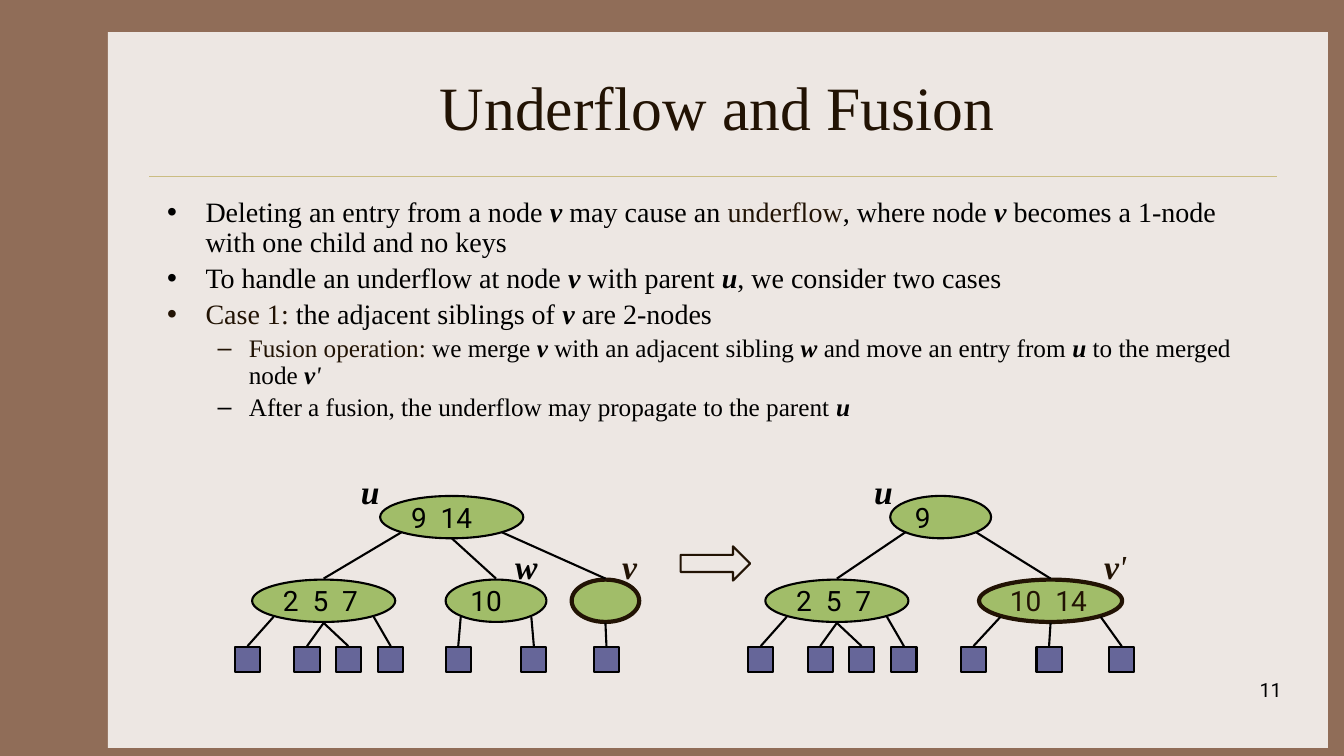
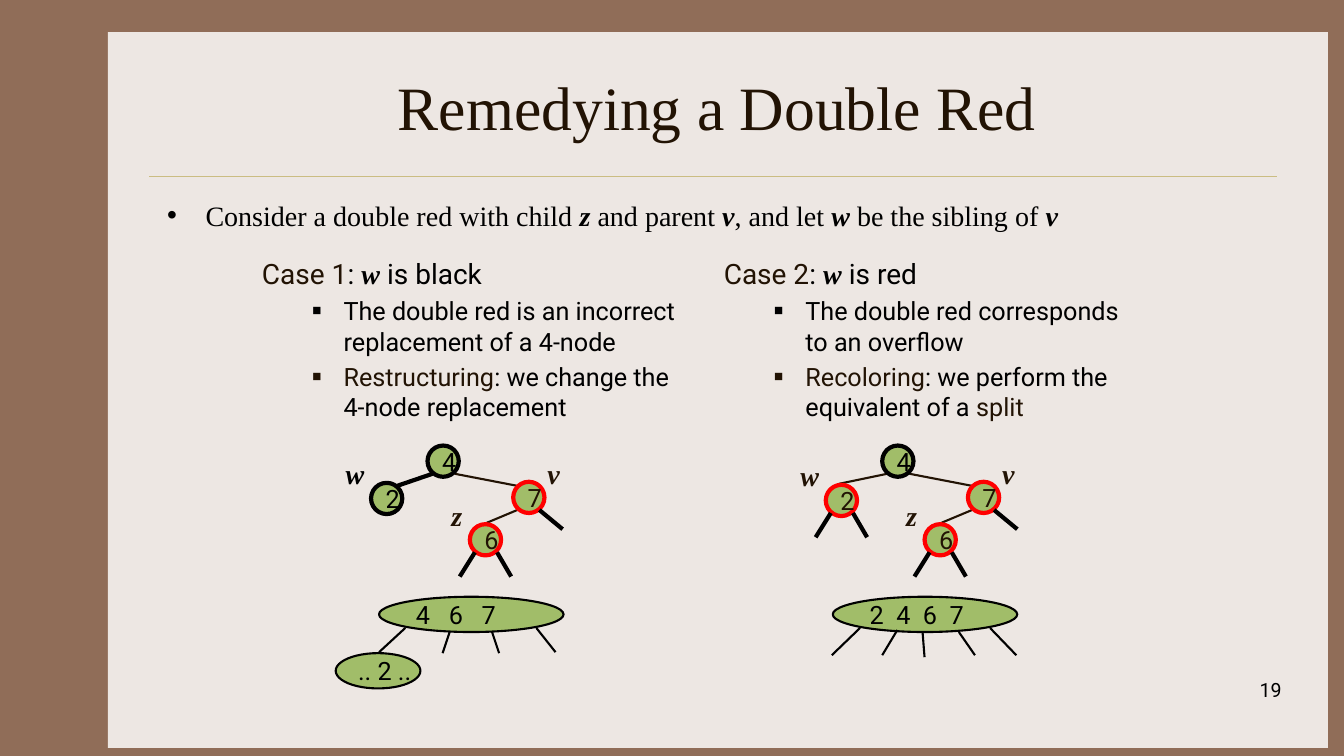
from lxml.etree import SubElement
from pptx import Presentation
from pptx.dml.color import RGBColor
from pptx.enum.shapes import MSO_CONNECTOR, MSO_SHAPE
from pptx.enum.text import MSO_ANCHOR, MSO_AUTO_SIZE, PP_ALIGN
from pptx.oxml.ns import qn
from pptx.util import Pt

SCALE = 9144
SERIF, SANS = "Times New Roman", "Roboto"
BLACK, ACCENT, RED = "000000", "221304", "FF0000"
FRAME, PAPER, RULE = "906D58", "EDE7E3", "CBBD83"
GREEN, LEAF = "A1BD69", "666699"
LEAF_SIZE, CIRCLE_SIZE = 25, 31
NODE_HEIGHT, WIDE_HEIGHT = 42, 35
LEFT, MIDDLE, RIGHT = 0.15, 0.5, 0.85


def px(*lengths):
    """Turn px lengths into EMU."""
    return [round(length * SCALE) for length in lengths]


def color(code):
    """Turn a hex string into a colour."""
    return RGBColor.from_string(code)


def var(text, code=BLACK):
    """Describe a run that shows a variable."""
    return text, {"bold": True, "italic": True, "font": SERIF, "code": code}


def key(text):
    """Describe a run in the accent colour."""
    return text, {"code": ACCENT}


def prime(code=BLACK):
    """Describe the prime mark after a variable."""
    return "'", {"italic": True, "font": SERIF, "code": code}


def add_runs(para, runs, size, font, code=BLACK):
    """Add styled runs to a paragraph; plain strings take the base style."""
    for entry in runs:
        text, style = (entry, {}) if isinstance(entry, str) else entry
        span = para.add_run()
        span.text = text
        span.font.size = Pt(size)
        span.font.name = style.get("font", font)
        span.font.bold = style.get("bold", False)
        span.font.italic = style.get("italic", False)
        span.font.color.rgb = color(style.get("code", code))


def add_box(page, area):
    """Add an empty wrapping text box."""
    box = page.shapes.add_textbox(*px(*area))
    box.text_frame.word_wrap = True
    return box.text_frame


def set_indent(para, margin, hanging, bullet=None, percent=100):
    """Give a paragraph a hanging indent and an optional bullet."""
    props = para._p.get_or_add_pPr()
    props.set("marL", str(px(margin)[0]))
    props.set("indent", str(px(-hanging)[0]))
    if bullet:
        SubElement(props, qn("a:buSzPct")).set("val", str(percent * 1000))
        SubElement(props, qn("a:buFont")).set("typeface", "Arial")
        SubElement(props, qn("a:buChar")).set("char", bullet)
    else:
        SubElement(props, qn("a:buNone"))


def add_outline(page, area, items, font, bullets, percent=100, spacing=None):
    """Write a two-level list from (level, runs) items."""
    frame = add_box(page, area)
    for index, (level, runs) in enumerate(items):
        para = frame.add_paragraph() if index else frame.paragraphs[0]
        size = (20, 18)[level]
        margin, hanging = ((38, 38), (81, 31))[level]
        set_indent(para, margin, hanging, bullets[level], percent)
        if spacing:
            para.line_spacing = spacing
        if index:
            para.space_before = Pt(size * 0.2)
        add_runs(para, runs, size, font)


def add_figure(page, kind, area, fill, line=None, weight=1.5):
    """Add a preset shape with a plain fill and outline."""
    shape = page.shapes.add_shape(kind, *px(*area))
    shape.shadow.inherit = False
    if fill:
        shape.fill.solid()
        shape.fill.fore_color.rgb = color(fill)
    else:
        shape.fill.background()
    if line:
        shape.line.color.rgb = color(line)
        shape.line.width = Pt(weight)
    else:
        shape.line.fill.background()
    return shape


def add_node(page, area, text, size, line=BLACK, weight=1.5, code=BLACK):
    """Add a green ellipse holding keys."""
    node = add_figure(page, MSO_SHAPE.OVAL, area, GREEN, line, weight)
    if text:
        frame = node.text_frame
        frame.word_wrap = False
        frame.vertical_anchor = MSO_ANCHOR.MIDDLE
        frame.paragraphs[0].alignment = PP_ALIGN.LEFT
        add_runs(frame.paragraphs[0], [text], size, SANS, code)


def add_edge(page, start, end, code=BLACK, weight=1.5):
    """Draw a straight line between two points."""
    edge = page.shapes.add_connector(MSO_CONNECTOR.STRAIGHT, *px(*start, *end))
    edge.line.color.rgb = color(code)
    edge.line.width = Pt(weight)
    SubElement(edge._element.spPr, qn("a:effectLst"))


def add_stubs(page, left, top, stubs, weight=1.5):
    """Draw short edges given relative to a node's corner."""
    for x1, y1, x2, y2 in stubs:
        add_edge(page, (left + x1, top + y1), (left + x2, top + y2), BLACK, weight)


def add_tag(page, left, top, width, runs):
    """Put a large variable name beside a node."""
    frame = add_box(page, (left, top, width, 40))
    frame.margin_left = frame.margin_top = frame.margin_right = frame.margin_bottom = 0
    frame.word_wrap = False
    frame.auto_size = MSO_AUTO_SIZE.SHAPE_TO_FIT_TEXT
    add_runs(frame.paragraphs[0], runs, 24, SERIF)


def node_anchor(left, top, width, side):
    """Find the point on a node's lower edge where a child hangs."""
    return left + width * side, top + (NODE_HEIGHT if side == MIDDLE else 36)


def add_subtree(page, left, top, width, text, leaves, strong=False):
    """Draw a node with its square leaves, given as (offset, side)."""
    line, weight = (ACCENT, 3) if strong else (BLACK, 1.5)
    add_node(page, (left, top, width, NODE_HEIGHT), text, 20, line, weight, line)
    for offset, side in leaves:
        x, y = left + offset, top + 67
        add_figure(page, MSO_SHAPE.RECTANGLE, (x, y, LEAF_SIZE, LEAF_SIZE), LEAF, BLACK)
        hook_x, hook_y = node_anchor(left, top, width, side)
        add_edge(page, (x + LEAF_SIZE / 2, y - 1), (hook_x, hook_y + 1))


def add_multiway_tree(page, left, top, root, children):
    """Draw a root u with its subtrees, placed from the tree's corner."""
    offset, width, text = root
    root_left, child_top = left + offset, top + 83
    add_node(page, (root_left, top, width, NODE_HEIGHT), text, 20)
    add_tag(page, left + 125, top - 25, 19, [var("u")])
    for side, child_offset, child_width, keys, leaves, strong, tag in children:
        child_left = left + child_offset
        add_subtree(page, child_left, child_top, child_width, keys, leaves, strong)
        add_edge(page, (child_left + child_width / 2, child_top - 1),
                 node_anchor(root_left, top, width, side))
        if tag:
            tag_offset, tag_width, runs = tag
            add_tag(page, child_left + tag_offset, child_top - 33, tag_width, runs)


def add_red_black_tree(page, left, top, sibling_red):
    """Draw the double red at z and v, with sibling w black or red."""
    fork = [(27, 28, 41, 52), (5, 28, -10, 52)]
    sibling_shift = 2 if sibling_red else 0
    nodes = [("4", 91, 0, False, []), ("6", 133, 78, True, fork),
             ("7", 176, 36, True, [(26, 28, 49, 47)]),
             ("2", 35, 37 + sibling_shift, sibling_red, fork if sibling_red else [])]
    sibling_edge = (96, 28, 48, 38, ACCENT, 1.5) if sibling_red else (96, 28, 61, 40, BLACK, 3)
    edges = [(118, 28, 180, 40, ACCENT, 1.5), (180, 64, 149, 77, ACCENT, 1.5), sibling_edge]
    for x1, y1, x2, y2, code, weight in edges:
        add_edge(page, (left + x1, top + y1), (left + x2, top + y2), code, weight)
    for text, x, y, red, stubs in nodes:
        area = (left + x, top + y, CIRCLE_SIZE, CIRCLE_SIZE)
        line, code = (RED, ACCENT) if red else (BLACK, BLACK)
        add_node(page, area, text, 18, line, 3, code)
        add_stubs(page, left + x, top + y, stubs, 3)
    sibling_code = ACCENT if sibling_red else BLACK
    names = [("z", 105, 48, 37, ACCENT), ("v", 200, 6, 34, ACCENT),
             ("w", 0, 6 + sibling_shift, 42, sibling_code)]
    for name, x, y, width, code in names:
        frame = add_box(page, (left + x, top + y, width, 43))
        frame.auto_size = MSO_AUTO_SIZE.SHAPE_TO_FIT_TEXT
        add_runs(frame.paragraphs[0], [var(name, code)], 20, SERIF)


def add_wide_node(page, left, top, text, stubs):
    """Draw a wide node with loose child edges."""
    add_node(page, (left, top, 183, WIDE_HEIGHT), text, 18)
    add_stubs(page, left, top, stubs)


def add_page(deck, title, number):
    """Add a page with the shared frame, title, rule and number."""
    page = deck.slides.add_slide(deck.slide_layouts[6])
    page.background.fill.solid()
    page.background.fill.fore_color.rgb = color(FRAME)
    add_figure(page, MSO_SHAPE.RECTANGLE, (107, 32, 1210, 710), PAPER)
    add_edge(page, (148, 175), (1267, 175), RULE, 0.25)
    heading = add_box(page, (156, 42, 1111, 125))
    heading.vertical_anchor = MSO_ANCHOR.MIDDLE
    heading.paragraphs[0].alignment = PP_ALIGN.CENTER
    add_runs(heading.paragraphs[0], [title], 44, SERIF, ACCENT)
    footer = add_box(page, (1003, 668, 278, 50))
    footer.paragraphs[0].alignment = PP_ALIGN.RIGHT
    add_runs(footer.paragraphs[0], [number], 14, SANS)
    return page


def build_fusion(deck):
    """Build the page on underflow and fusion."""
    page = add_page(deck, "Underflow and Fusion", "11")
    add_outline(page, (156, 192, 1111, 450), [
        (0, ["Deleting an entry from a node ", var("v"), " may cause an ", key("underflow"),
             ", where node ", var("v"), " becomes a 1-node with one child and no keys"]),
        (0, ["To handle an underflow at node ", var("v "), "with parent ", var("u"),
             ", we consider two cases"]),
        (0, [key("Case 1:"), " the adjacent siblings of ", var("v"), " are 2-nodes"]),
        (1, [key("Fusion operation:"), " we merge ", var("v"), " with an adjacent sibling ",
             var("w"), " and move an entry from ", var("u"), " to the merged node ",
             var("v"), prime()]),
        (1, ["After a fusion, the underflow may propagate to the parent ", var("u")]),
    ], SERIF, ("•", "–"), spacing=0.9)
    full_leaves = [(-17, LEFT), (42, MIDDLE), (83, MIDDLE), (125, RIGHT)]
    full = (LEFT, 17, 142, "2  5  7", full_leaves, False, None)
    sibling = (MIDDLE, 209, 100, "10", [(0, LEFT), (75, RIGHT)], False, (69, 22, [var("w")]))
    empty = (RIGHT, 334, 67, "", [(22, MIDDLE)], True, (50, 15, [var("v", ACCENT)]))
    merged = (RIGHT, 229, 142, "10  14", [(-18, LEFT), (57, MIDDLE), (129, RIGHT)], True,
              (124, 22, [var("v", ACCENT), prime(ACCENT)]))
    add_multiway_tree(page, 233, 492, (144, 142, "9  14"), [full, sibling, empty])
    add_multiway_tree(page, 742, 492, (141, 100, "9"), [full, merged])
    add_figure(page, MSO_SHAPE.RIGHT_ARROW, (675, 542, 69, 34), None, ACCENT)


def build_double_red(deck):
    """Build the page on remedying a double red."""
    page = add_page(deck, "Remedying a Double Red", "19")
    add_outline(page, (156, 192, 1111, 450), [
        (0, ["Consider a double red with child ", var("z "), "and parent ", var("v"),
             ", and let ", var("w"), " be the sibling of ", var("v")]),
    ], SERIF, ("•", "–"))
    black_case = [
        (0, [key("Case 1"), ": ", var("w"), " is black"]),
        (1, ["The double red is an incorrect replacement of a 4-node"]),
        (1, [key("Restructuring"), ": we change the 4-node replacement"])]
    red_case = [
        (0, [key("Case 2"), ": ", var("w"), " is red"]),
        (1, ["The double red corresponds to an overflow"]),
        (1, [key("Recoloring"), ": we perform the equivalent of a ", key("split")])]
    for left, width, items in ((250, 450, black_case), (708, 425, red_case)):
        add_outline(page, (left, 250, width, 183), items, SANS, (None, "■"), 60)
    add_red_black_tree(page, 333, 442, False)
    add_red_black_tree(page, 784, 442, True)
    add_wide_node(page, 376, 592, "4   6   7", [
        (26, 31, 0, 55), (70, 35, 63, 56), (112, 35, 119, 56), (156, 31, 175, 55)])
    add_node(page, (333, 648, 84, WIDE_HEIGHT), ".. 2 ..", 18)
    add_wide_node(page, 826, 592, "2  4  6  7", [
        (27, 31, -1, 58), (64, 33, 49, 58), (89, 35, 91, 60),
        (125, 35, 141, 58), (156, 31, 182, 58)])


def main():
    """Build and save the deck."""
    deck = Presentation()
    deck.slide_width, deck.slide_height = px(1333, 750)
    build_fusion(deck)
    build_double_red(deck)
    deck.save("out.pptx")


if __name__ == "__main__":
    main()
